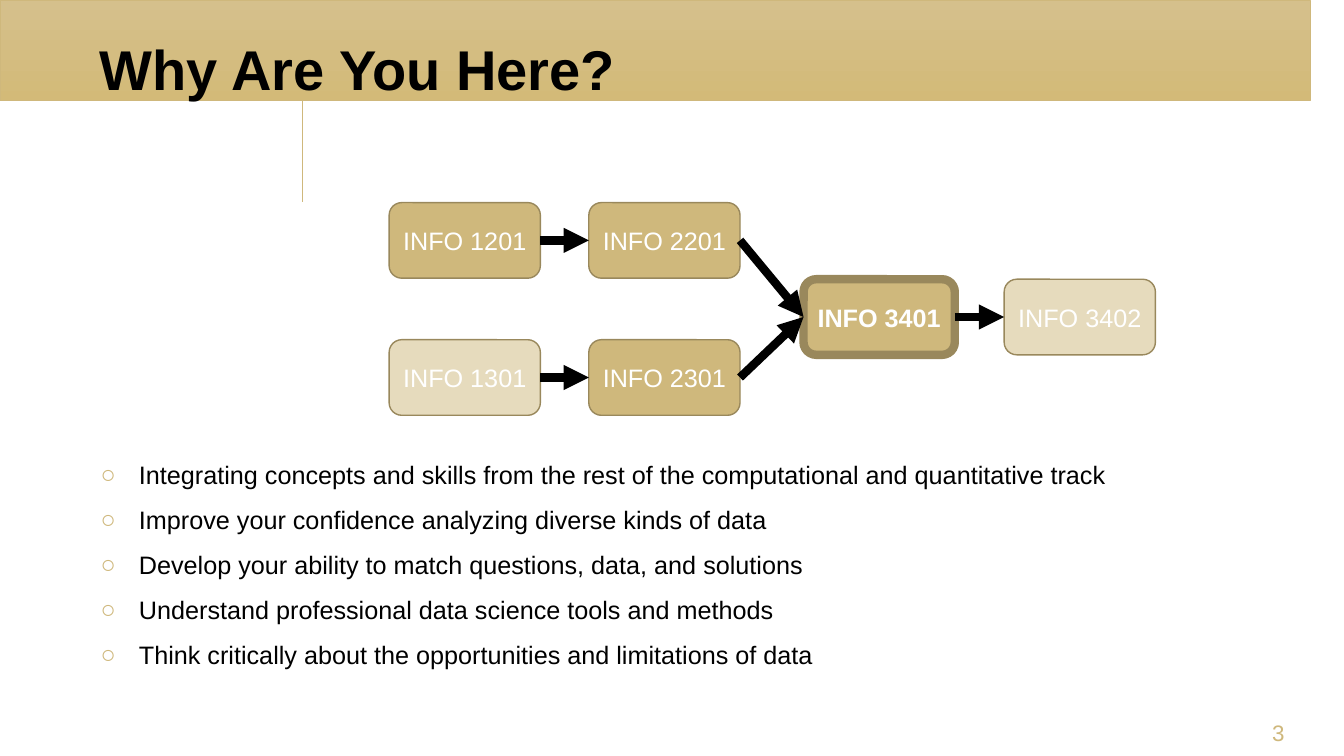
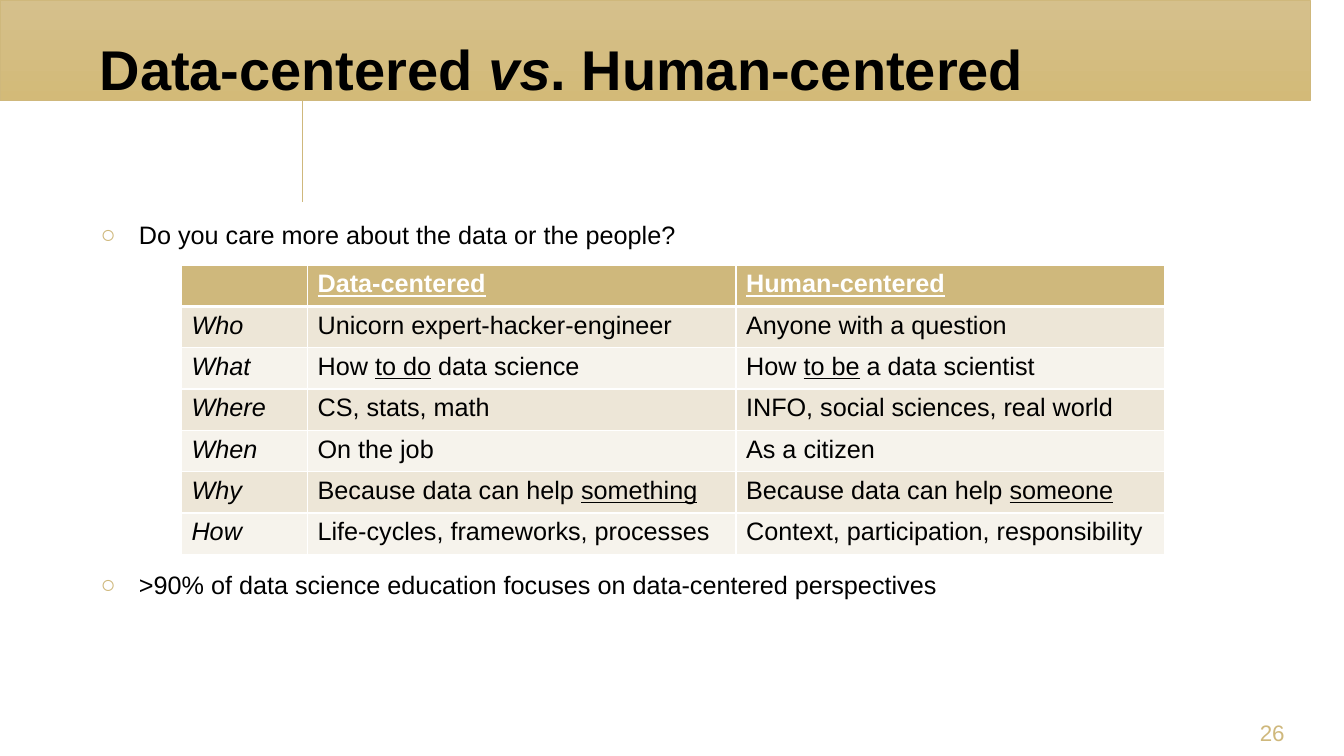
from copy import deepcopy

from lxml import etree
from pptx import Presentation
from pptx.dml.color import RGBColor
from pptx.enum import shapes, text
from pptx.oxml import ns
from pptx.util import Inches, Pt

FONT = "Arial"
COLORS = {
    "gold": "CFB87C", "edge": "99885C", "black": "000000", "white": "FFFFFF",
    "odd_row": "EDE6D7", "even_row": "F6F3EC",
    "band_top": "D5C08C", "band_mid": "D3BA78", "band_low": "C1A766",
}
BAND_OUTLINE = [(0, 0), (0, 1.3), (2.18, 1.3), (2.6, 1.49), (2.62, 1.5),
                (2.67, 1.5), (2.7, 1.49), (3.11, 1.3), (13.33, 1.3)]


def rgb(name):
    return RGBColor.from_string(COLORS[name])


def sub(parent, tag, **attrs):
    return etree.SubElement(parent, ns.qn(tag), attrs)


class Deck:
    def __init__(self):
        self.prs = Presentation()
        self.prs.slide_width, self.prs.slide_height = Inches(13.33), Inches(7.5)
        self.s = None

    def slide(self, title, number):
        """Start a slide with the shared band, title and page number."""
        self.s = self.prs.slides.add_slide(self.prs.slide_layouts[6])
        self.band()
        tf = self.box(0.89, 0, 11.56, 1.06, text.MSO_ANCHOR.BOTTOM)
        self.runs(tf.paragraphs[0], title, size=40, bold=True)
        tf = self.box(11.68, 7.01, 1.16, 0.4, text.MSO_ANCHOR.BOTTOM)
        tf.margin_bottom = Inches(0.01)
        tf.paragraphs[0].alignment = text.PP_ALIGN.RIGHT
        self.runs(tf.paragraphs[0], str(number), size=16, color="gold")

    def band(self):
        outline = self.s.shapes.build_freeform(*BAND_OUTLINE[0], scale=Inches(1))
        outline.add_line_segments(BAND_OUTLINE[1:] + [(13.33, 0)])
        sp = outline.convert_to_shape()
        sp.shadow.inherit = False
        sp.line.color.rgb, sp.line.width = rgb("gold"), Pt(0.5)
        sp.fill.gradient()
        sp.fill.gradient_angle = 270
        stops = sp._element.spPr.find(".//" + ns.qn("a:gsLst"))
        stops.append(deepcopy(stops[-1]))
        names = ("band_top", "band_mid", "band_low")
        for i, (stop, name) in enumerate(zip(sp.fill.gradient_stops, names)):
            stop.position, stop.color.rgb = i / 2, rgb(name)

    def box(self, x, y, w, h, anchor=text.MSO_ANCHOR.MIDDLE):
        """Add a wrapping text box and return its text frame."""
        sp = self.s.shapes.add_textbox(Inches(x), Inches(y), Inches(w), Inches(h))
        tf = sp.text_frame
        tf.word_wrap, tf.vertical_anchor = True, anchor
        return tf

    def runs(self, p, content, size=18, color="black", bold=False, marks=""):
        """Fill p from a string or a list of (text, marks); marks are i and u."""
        parts = [(content, marks)] if isinstance(content, str) else content
        for words, mark in parts:
            r = p.add_run()
            r.text = words
            f = r.font
            f.name, f.size, f.bold, f.color.rgb = FONT, Pt(size), bold, rgb(color)
            f.italic, f.underline = "i" in mark, "u" in mark

    def bullets(self, y, h, items):
        tf = self.box(0.9, y, 11.54, h)
        for i, item in enumerate(items):
            p = tf.add_paragraph() if i else tf.paragraphs[0]
            p.space_before, p.space_after = Pt(4.5), Pt(6)
            pPr = p._p.get_or_add_pPr()
            pPr.set("marL", str(Inches(0.38)))
            pPr.set("indent", str(-Inches(0.38)))
            sub(sub(pPr, "a:buClr"), "a:srgbClr", val=COLORS["gold"])
            sub(pPr, "a:buFont", typeface=FONT)
            sub(pPr, "a:buChar", char="○")
            self.runs(p, item)

    def course(self, x, y, label, faded=False, current=False):
        sp = self.s.shapes.add_shape(shapes.MSO_SHAPE.ROUNDED_RECTANGLE,
                                     Inches(x), Inches(y), Inches(1.5), Inches(0.75))
        sp.shadow.inherit = False
        sp.fill.solid()
        sp.fill.fore_color.rgb = rgb("gold")
        if faded:
            fill = sp._element.spPr.find(ns.qn("a:solidFill"))
            sub(fill[0], "a:alpha", val="50000")
        sp.line.color.rgb, sp.line.width = rgb("edge"), Pt(6 if current else 1)
        tf = sp.text_frame
        tf.word_wrap, tf.vertical_anchor = True, text.MSO_ANCHOR.MIDDLE
        tf.paragraphs[0].alignment = text.PP_ALIGN.CENTER
        self.runs(tf.paragraphs[0], label, color="white", bold=current)
        return sp

    def arrow(self, start, end):
        """Join the right side of start to the left side of end."""
        c = self.s.shapes.add_connector(shapes.MSO_CONNECTOR.STRAIGHT, 0, 0, 0, 0)
        c.begin_connect(start, 3)
        c.end_connect(end, 1)
        c.line.color.rgb, c.line.width = rgb("black"), Pt(6)
        sub(c.line._get_or_add_ln(), "a:tailEnd", type="triangle")
        sub(c._element.spPr, "a:effectLst")

    def cell(self, cell, content, fill, bottom=1, **style):
        tcPr = cell._tc.get_or_add_tcPr()
        for side, width in (("L", 1), ("R", 1), ("T", 1), ("B", bottom)):
            ln = sub(tcPr, "a:ln" + side, w=str(Pt(width)))
            sub(sub(ln, "a:solidFill"), "a:srgbClr", val=COLORS["white"])
        cell.fill.solid()
        cell.fill.fore_color.rgb = rgb(fill)
        if content:
            self.runs(cell.text_frame.paragraphs[0], content, **style)

    def table(self, x, y, widths, row_height, rows):
        frame = self.s.shapes.add_table(
            len(rows), len(widths), Inches(x), Inches(y),
            Inches(sum(widths)), Inches(row_height * len(rows)))
        t = frame.table
        for column, width in zip(t.columns, widths):
            column.width = Inches(width)
        for i, row in enumerate(rows):
            for j, content in enumerate(row):
                if i == 0:
                    self.cell(t.cell(i, j), content, "gold", bottom=3,
                              color="white", bold=True, marks="u")
                else:
                    self.cell(t.cell(i, j), content, "odd_row" if i % 2 else "even_row",
                              marks="" if j else "i")


def why_here(deck):
    deck.slide("Why Are You Here?", 3)
    top, middle, bottom = 2.01, 2.77, 3.37
    info1201 = deck.course(3.86, top, "INFO 1201")
    info1301 = deck.course(3.86, bottom, "INFO 1301", faded=True)
    info2201 = deck.course(5.84, top, "INFO 2201")
    info2301 = deck.course(5.84, bottom, "INFO 2301")
    info3401 = deck.course(7.97, middle, "INFO 3401", current=True)
    info3402 = deck.course(9.96, middle, "INFO 3402", faded=True)
    for start, end in ((info1201, info2201), (info1301, info2301),
                       (info2201, info3401), (info2301, info3401),
                       (info3401, info3402)):
        deck.arrow(start, end)
    deck.bullets(4.69, 1.82, [
        "Integrating concepts and skills from the rest of the computational "
        "and quantitative track",
        "Improve your confidence analyzing diverse kinds of data",
        "Develop your ability to match questions, data, and solutions",
        "Understand professional data science tools and methods",
        "Think critically about the opportunities and limitations of data",
    ])


def data_vs_human(deck):
    deck.slide([("Data-centered ", ""), ("vs", "i"), (". Human-centered", "")], 26)
    deck.bullets(2.08, 0.5, ["Do you care more about the data or the people?"])
    deck.table(1.8, 2.63, (1.25, 4.25, 4.25), 0.41, [
        ("", "Data-centered", "Human-centered"),
        ("Who", "Unicorn expert-hacker-engineer", "Anyone with a question"),
        ("What", [("How ", ""), ("to do", "u"), (" data science", "")],
         [("How ", ""), ("to be", "u"), (" a data scientist", "")]),
        ("Where", "CS, stats, math", "INFO, social sciences, real world"),
        ("When", "On the job", "As a citizen"),
        ("Why", [("Because data can help ", ""), ("something", "u")],
         [("Because data can help ", ""), ("someone", "u")]),
        ("How", "Life-cycles, frameworks, processes",
         "Context, participation, responsibility"),
    ])
    deck.bullets(5.55, 0.5, [
        ">90% of data science education focuses on data-centered perspectives"])


def main():
    deck = Deck()
    why_here(deck)
    data_vs_human(deck)
    deck.prs.save("out.pptx")


if __name__ == "__main__":
    main()
